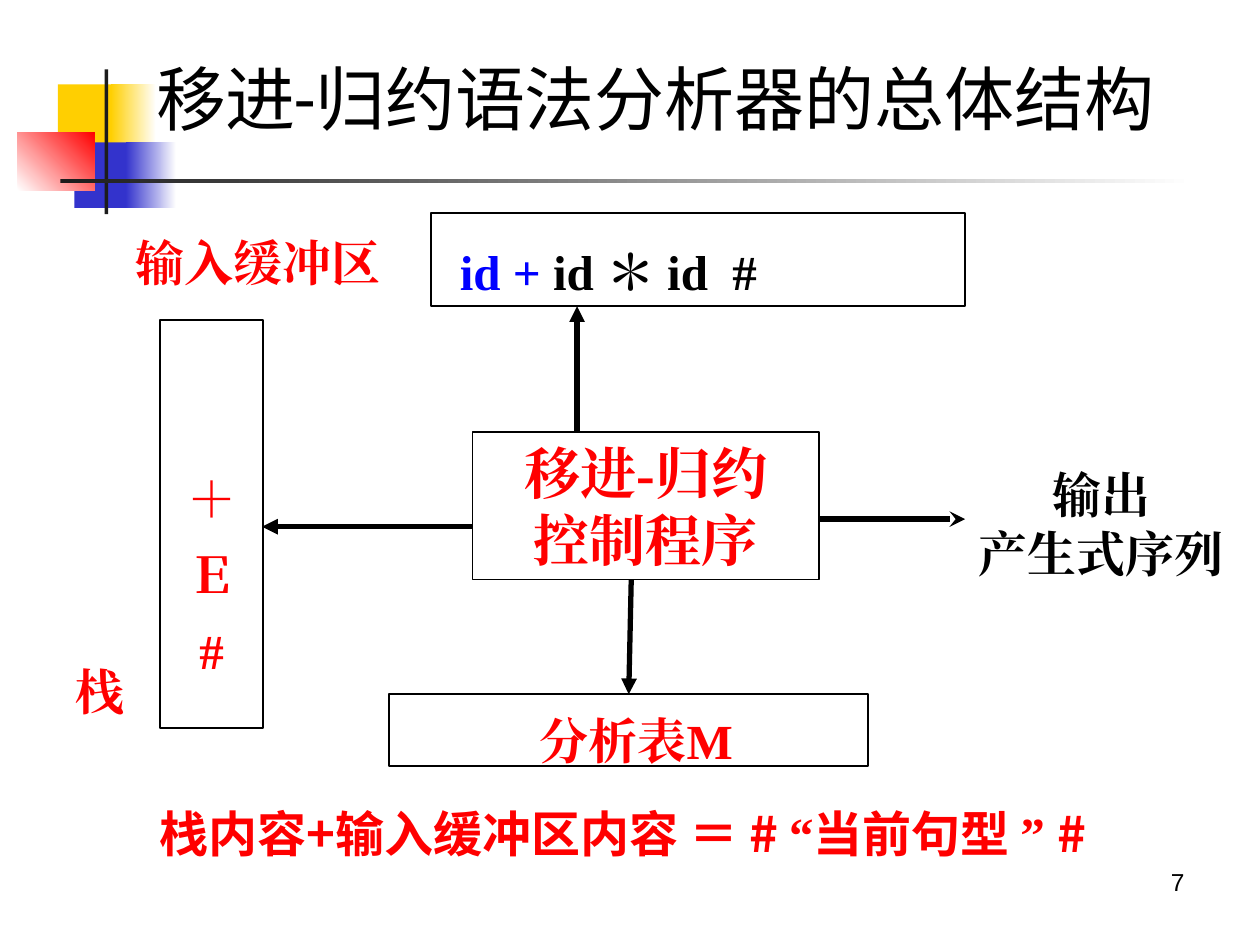
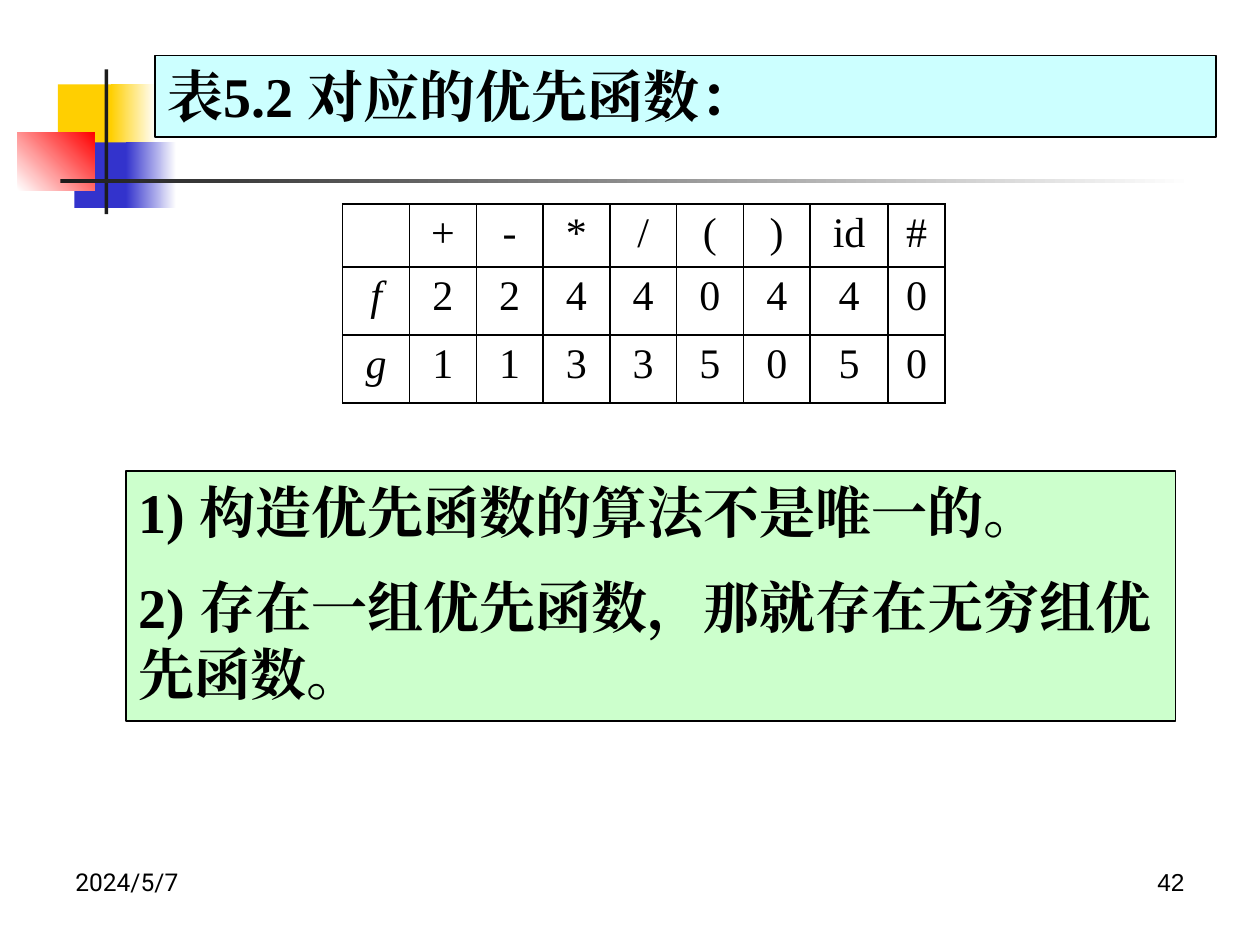
import pptx
import pptx.dml.color
import pptx.enum.shapes
import pptx.enum.text
import pptx.oxml.ns
import pptx.util
from lxml import etree

Inches = pptx.util.Inches
Pt = pptx.util.Pt
ALIGN = pptx.enum.text.PP_ALIGN
ANCHOR = pptx.enum.text.MSO_ANCHOR
qn = pptx.oxml.ns.qn

COLORS = {
    "white": "FFFFFF", "black": "000000", "ink": "1C1C1C", "yellow": "FFCF01",
    "navy": "3333CC", "blue": "0000FF", "red": "FF0000",
    "cyan": "CCFFFF", "green": "CCFFCC",
}
SERIF, SANS, HAN, ROBOTO = "Times New Roman", "Arial", "Noto Sans CJK SC", "Roboto"


def rgb(name):
    return pptx.dml.color.RGBColor.from_string(COLORS[name])


class Builder:
    """Holds the deck, its style and the slide being filled."""

    def __init__(self):
        self.deck = pptx.Presentation()
        self.deck.slide_width = Inches(10)
        self.deck.slide_height = Inches(7.5)
        self.page = None

    def new_page(self, number):
        self.page = self.deck.slides.add_slide(self.deck.slide_layouts[6])
        self.page.background.fill.solid()
        self.page.background.fill.fore_color.rgb = rgb("white")
        self.rectangle((0.46, 0.67, 0.48, 0.52), "yellow")
        self.gradient((0.88, 0.67, 0.36, 0.52), "yellow", "white")
        self.rectangle((0.59, 1.13, 0.46, 0.52), "navy")
        self.gradient((1, 1.13, 0.4, 0.52), "navy", "white")
        self.gradient((0.14, 1.05, 0.61, 0.46), "white", "red", 45)
        self.rectangle((0.83, 0.55, 0.03, 1.15), "ink")
        self.gradient((0.48, 1.42, 9, 0.03), "ink", "white")
        self.label((7.17, 6.83, 2.33, 0.52), [number], size=14, font=SANS,
                   color="black", bold=False, align=ALIGN.RIGHT)

    def rectangle(self, place, fill=None, outline=None):
        box = self.page.shapes.add_shape(
            pptx.enum.shapes.MSO_SHAPE.RECTANGLE, *map(Inches, place))
        box.shadow.inherit = False
        if fill:
            box.fill.solid()
            box.fill.fore_color.rgb = rgb(fill)
        else:
            box.fill.background()
        if outline:
            box.line.color.rgb = rgb(outline)
            box.line.width = Pt(1)
        else:
            box.line.fill.background()
        return box

    def gradient(self, place, start, end, angle=0):
        box = self.rectangle(place)
        box.fill.gradient()
        box.fill.gradient_angle = angle
        for stop, name in zip(box.fill.gradient_stops, (start, end)):
            stop.color.rgb = rgb(name)

    def label(self, place, lines, **style):
        box = self.page.shapes.add_textbox(*map(Inches, place))
        self.set_lines(box, lines, **style)

    def panel(self, place, lines, fill=None, **style):
        """Outlined rectangle with text."""
        self.set_lines(self.rectangle(place, fill, "black"), lines, **style)

    def set_lines(self, box, lines, anchor=ANCHOR.TOP, insets=(0.1, 0.05, 0.1, 0.05),
                  align=ALIGN.LEFT, gap=0, spacing=None, **style):
        """Each line is a string or a list of (text, style changes) spans."""
        frame = box.text_frame
        frame.word_wrap = True
        frame.vertical_anchor = anchor
        (frame.margin_left, frame.margin_top,
         frame.margin_right, frame.margin_bottom) = map(Inches, insets)
        for index, line in enumerate(lines):
            paragraph = frame.add_paragraph() if index else frame.paragraphs[0]
            paragraph.alignment = align
            if index and gap:
                paragraph.space_before = Pt(gap)
            if spacing:
                paragraph.line_spacing = spacing
            spans = [(line, {})] if isinstance(line, str) else line
            for text, changes in spans:
                span = paragraph.add_run()
                span.text = text
                self.style_span(span, **{**style, **changes})

    def style_span(self, span, size=28, font=SERIF, color="red", bold=True, italic=False):
        span.font.size = Pt(size)
        span.font.name = font
        span.font.bold = bold
        span.font.italic = italic
        span.font.color.rgb = rgb(color)
        latin = span.font._element.find(qn("a:latin"))
        latin.addnext(etree.Element(qn("a:ea"), typeface=font))

    def arrow(self, start, end, head="triangle"):
        connector = self.page.shapes.add_connector(
            pptx.enum.shapes.MSO_CONNECTOR.STRAIGHT, *map(Inches, start + end))
        connector.line.color.rgb = rgb("black")
        connector.line.width = Pt(3)
        properties = connector._element.spPr
        etree.SubElement(properties.find(qn("a:ln")), qn("a:tailEnd"), type=head)
        etree.SubElement(properties, qn("a:effectLst"))

    def table(self, place, rows, widths, heights):
        frame = self.page.shapes.add_table(
            len(rows), len(widths), *map(Inches, place))
        table = frame.table
        table.first_row = table.horz_banding = False
        for column, width in zip(table.columns, widths):
            column.width = Inches(width)
        for row, height in zip(table.rows, heights):
            row.height = Inches(height)
        for row, values in zip(table.rows, rows):
            for cell, value in zip(row.cells, values):
                self.border(cell)
                cell.fill.background()
                cell.text_frame.text = value
                paragraph = cell.text_frame.paragraphs[0]
                paragraph.alignment = ALIGN.CENTER
                for span in paragraph.runs:
                    self.style_span(span, size=24, color="black", bold=False,
                                    italic=value in ("f", "g"))

    def border(self, cell):
        properties = cell._tc.get_or_add_tcPr()
        for side in ("lnL", "lnR", "lnT", "lnB"):
            line = etree.SubElement(properties, qn("a:" + side), w=str(Pt(1)))
            fill = etree.SubElement(line, qn("a:solidFill"))
            etree.SubElement(fill, qn("a:srgbClr"), val=COLORS["black"])


def parser_structure(builder):
    builder.new_page("7")
    builder.label((1.14, 0.39, 8.5, 0.76), ["移进-归约语法分析器的总体结构"],
                  anchor=ANCHOR.MIDDLE, size=40, font=ROBOTO, color="black", bold=False)

    middle = {"anchor": ANCHOR.MIDDLE}
    centred = {**middle, "align": ALIGN.CENTER}
    builder.panel((3.42, 1.69, 4.24, 0.74),
                  [[("id + ", {"color": "blue"}), ("id ＊ id  #", {"color": "black"})]],
                  insets=(0.23, 0.23, 0.1, 0.05), **middle)
    builder.panel((1.27, 2.54, 0.82, 3.24), ["＋", "Ｅ", "#"],
                  insets=(0.1, 0.7, 0.1, 0.05), spacing=1.3, **centred)
    builder.panel((3.75, 3.43, 2.75, 1.17), ["移进-归约", "控制程序"], size=32, **centred)
    builder.panel((3.09, 5.51, 3.8, 0.57), ["分析表M"],
                  insets=(0.22, 0.16, 0.1, 0), **centred)

    builder.arrow((4.58, 3.43), (4.58, 2.43))
    builder.arrow((6.5, 4.12), (7.66, 4.12), "stealth")
    builder.arrow((5.01, 4.6), (4.99, 5.51))
    builder.arrow((3.75, 4.18), (2.08, 4.18))

    builder.label((7.6, 3.64, 2.28, 1.03), ["输出", "产生式序列"],
                  color="black", align=ALIGN.CENTER)
    builder.label((0.98, 1.8, 2.28, 0.57), ["输入缓冲区"])
    builder.label((0.5, 5.2, 0.7, 0.57), ["栈"])
    quote = {"font": SERIF}
    builder.label((1.17, 6.33, 8.25, 0.57),
                  [[("栈内容+输入缓冲区内容 ＝ # ", {}), ("“", quote),
                    ("当前句型 ", {}), ("” ", quote), ("#", {})]], font=HAN)


def precedence_functions(builder):
    builder.new_page("42")
    builder.label((0.5, 6.83, 2.33, 0.52), ["2024/5/7"], size=14, font=ROBOTO,
                  color="black", bold=False)
    heading = {"size": 32, "color": "black"}
    builder.panel((1.23, 0.44, 8.42, 0.65), ["表5.2 对应的优先函数："],
                  fill="cyan", **heading)
    builder.panel((1, 3.74, 8.33, 1.98),
                  ["1) 构造优先函数的算法不是唯一的。",
                   "2) 存在一组优先函数，那就存在无穷组优先函数。"],
                  fill="green", gap=16, **heading)
    rows = [
        ["", "+", "-", "*", "/", "(", ")", "id", "#"],
        ["f", "2", "2", "4", "4", "0", "4", "4", "0"],
        ["g", "1", "1", "3", "3", "5", "0", "5", "0"],
    ]
    builder.table((2.72, 1.62, 4.8, 1.58), rows,
                  widths=[0.53] * 7 + [0.62, 0.45], heights=[0.5, 0.54, 0.54])


def main():
    builder = Builder()
    parser_structure(builder)
    precedence_functions(builder)
    builder.deck.save("out.pptx")


if __name__ == "__main__":
    main()
